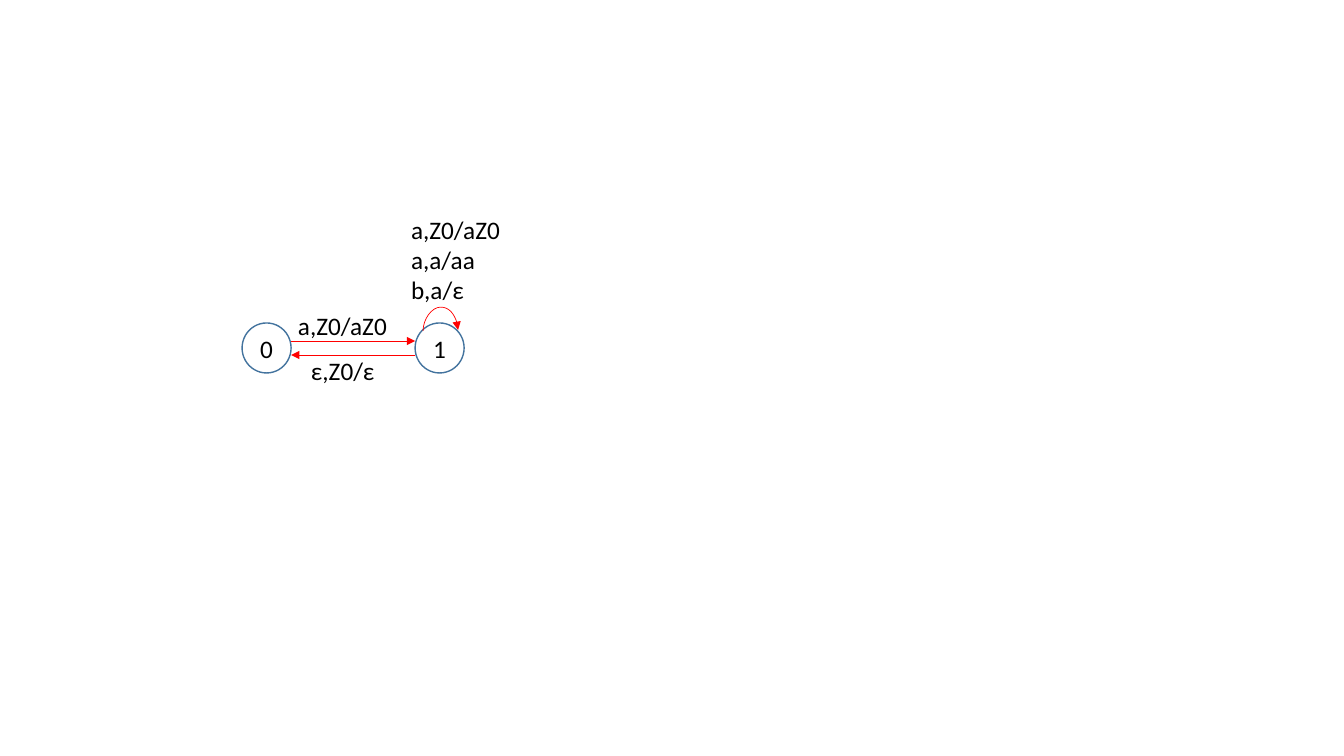
from dataclasses import dataclass

from lxml.etree import SubElement
from pptx import Presentation
from pptx.dml.color import RGBColor
from pptx.enum.shapes import MSO_CONNECTOR, MSO_SHAPE
from pptx.enum.text import MSO_ANCHOR, MSO_AUTO_SIZE, PP_ALIGN
from pptx.oxml.ns import qn
from pptx.util import Emu, Inches, Pt

EMU_PER_PX = 914400 / 100.8


def px(length):
    return Emu(round(length * EMU_PER_PX))


@dataclass(frozen=True)
class Theme:
    font: str = "Calibri"
    text_size: Pt = Pt(18)
    text: RGBColor = RGBColor(0, 0, 0)
    state_fill: RGBColor = RGBColor(0xFF, 0xFF, 0xFF)
    state_line: RGBColor = RGBColor(0x43, 0x73, 0x9E)
    state_line_width: Pt = Pt(1)
    arrow: RGBColor = RGBColor(0xFF, 0, 0)
    arrow_width: Pt = Pt(0.5)


class Automaton:
    def __init__(self, page, theme):
        self.page = page
        self.theme = theme

    def set_text(self, frame, text, align):
        frame.text = text
        for para in frame.paragraphs:
            para.alignment = align
            para.font.name = self.theme.font
            para.font.size = self.theme.text_size
            para.font.color.rgb = self.theme.text

    def state(self, name, left, top, width, height):
        circle = self.page.shapes.add_shape(
            MSO_SHAPE.OVAL, px(left), px(top), px(width), px(height))
        circle.shadow.inherit = False
        circle.fill.solid()
        circle.fill.fore_color.rgb = self.theme.state_fill
        circle.line.color.rgb = self.theme.state_line
        circle.line.width = self.theme.state_line_width
        circle.text_frame.vertical_anchor = MSO_ANCHOR.MIDDLE
        self.set_text(circle.text_frame, name, PP_ALIGN.CENTER)

    def label(self, text, left, top, width, height):
        box = self.page.shapes.add_textbox(px(left), px(top), px(width), px(height))
        box.text_frame.word_wrap = False
        box.text_frame.auto_size = MSO_AUTO_SIZE.SHAPE_TO_FIT_TEXT
        self.set_text(box.text_frame, text, PP_ALIGN.LEFT)

    def arrow(self, start, end, kind=MSO_CONNECTOR.STRAIGHT):
        connector = self.page.shapes.add_connector(
            kind, *(px(value) for value in (*start, *end)))
        connector.line.color.rgb = self.theme.arrow
        connector.line.width = self.theme.arrow_width
        properties = connector._element.spPr
        SubElement(properties.find(qn("a:ln")), qn("a:tailEnd"), type="triangle")
        SubElement(properties, qn("a:effectLst"))
        return connector

    def loop(self, start, end, rise):
        """Arc from start up by rise and down to end: a curve turned by 90 degrees."""
        span, drop = end[0] - start[0], start[1] - end[1]
        middle_x, middle_y = (start[0] + end[0]) / 2, (start[1] + end[1]) / 2
        curve = self.arrow((middle_x + drop / 2, middle_y + span / 2),
                           (middle_x - drop / 2, middle_y - span / 2),
                           MSO_CONNECTOR.CURVE)
        properties = curve._element.spPr
        properties.find(qn("a:xfrm")).set("rot", str(90 * 60000))
        guides = properties.find(qn("a:prstGeom")).find(qn("a:avLst"))
        SubElement(guides, qn("a:gd"), name="adj1",
                   fmla=f"val {round(rise / drop * 100000)}")


def main():
    deck = Presentation()
    deck.slide_width, deck.slide_height = Inches(13.33), Inches(7.5)
    page = deck.slides.add_slide(deck.slide_layouts[6])
    automaton = Automaton(page, Theme())

    state_width, state_height, state_top = 49, 50, 323
    first_left, second_left = 242, 415
    for name, left in (("0", first_left), ("1", second_left)):
        automaton.state(name, left, state_top, state_width, state_height)

    first_right = first_left + state_width
    automaton.arrow((first_right, 341), (second_left, 341))
    automaton.arrow((second_left, 355), (first_right, 355))

    automaton.label("a,Z0/aZ0", 288, 305, 110, 40)
    automaton.label("ε,Z0/ε", 301, 350, 85, 40)
    automaton.label("a,Z0/aZ0\na,a/aa\nb,a/ε", 401, 209, 110, 102)

    automaton.loop((423, 331), (458, 330), rise=24)
    deck.save("out.pptx")


if __name__ == "__main__":
    main()
